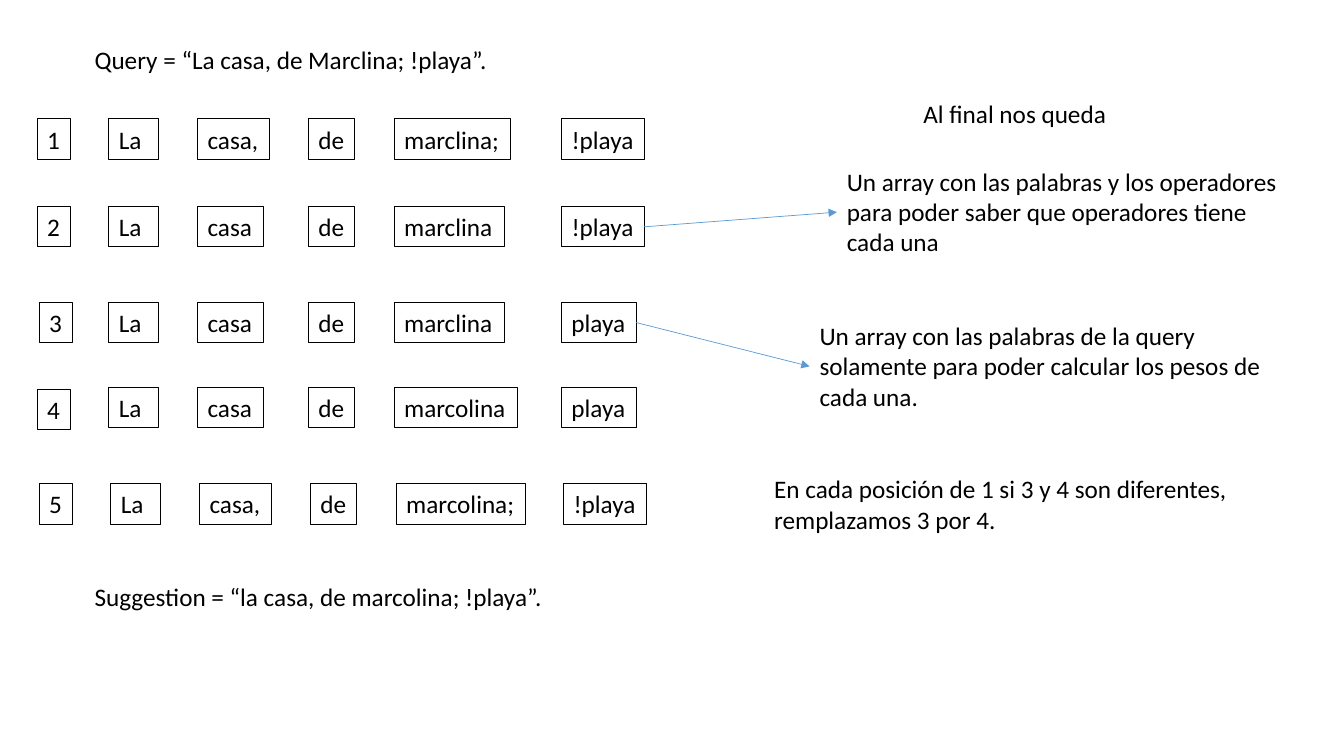
from pptx import Presentation
from pptx.dml.color import RGBColor
from pptx.enum.shapes import MSO_CONNECTOR
from pptx.enum.text import MSO_AUTO_SIZE
from pptx.oxml.ns import qn
from pptx.util import Inches, Pt
from lxml import etree

BLACK = RGBColor(0x00, 0x00, 0x00)
BLUE = RGBColor(0x5B, 0x9B, 0xD5)
STRAIGHT = MSO_CONNECTOR.STRAIGHT
GROW = MSO_AUTO_SIZE.SHAPE_TO_FIT_TEXT
FONT = "Calibri"

# Grid of square cells, ten to the inch
CELL = Inches(0.1)
LINE = 4.0
LEFT, RIGHT = 1, 3  # connection sites

# Columns of the word rows, measured from the number box
COLS = (0, 7.1, 15.9, 26.9, 35.4, 52)
WIDTHS = {
    "La": 4.9, "casa": 6.5, "casa,": 7.1, "de": 4.6,
    "marclina": 10.9, "marclina;": 11.5,
    "marcolina": 12.2, "marcolina;": 12.8,
    "playa": 7.4, "!playa": 8.2,
}
NUM = 3.3

# Left, top, shift of the number box, words
ROWS = (
    (3.7, 11.8, (0, 0), "La casa, de marclina; !playa"),
    (3.7, 20.5, (0, 0), "La casa de marclina !playa"),
    (3.7, 30, (0.2, 0), "La casa de marclina playa"),
    (3.7, 38.4, (0, 0.2), "La casa de marcolina playa"),
    (3.9, 48, (0, 0), "La casa, de marcolina; !playa"),
)

QUERY = "Query = “La casa, de Marclina; !playa”."
RESULT = "Suggestion = “la casa, de marcolina; !playa”."
HEAD = "Al final nos queda"
WITH_OPS = ("Un array con las palabras y los operadores para poder "
            "saber que operadores tiene cada una")
WORDS = ("Un array con las palabras de la query solamente para poder "
         "calcular los pesos de cada una.")
SWAP = ("En cada posición de 1 si 3 y 4 son diferentes, "
        "remplazamos 3 por 4.")


def grid(*cells):
    return [round(n * CELL) for n in cells]


def add_text(slide, box, text, wrap=True):
    shape = slide.shapes.add_textbox(*grid(*box))
    frame = shape.text_frame
    frame.word_wrap = wrap
    frame.auto_size = GROW
    frame.text = text
    font = frame.paragraphs[0].runs[0].font
    font.name, font.size = FONT, Pt(18)
    font.color.rgb = BLACK
    return shape


def add_tile(slide, box, text):
    tile = add_text(slide, box, text, wrap=False)
    tile.line.color.rgb = BLACK
    tile.line.width = Pt(0.75)
    return tile


def add_row(slide, left, top, num, shift, words):
    """Place a numbered row of words and return its last tile."""
    dx, dy = shift
    add_tile(slide, (left + dx, top + dy, NUM, LINE), str(num))
    for col, word in zip(COLS[1:], words.split()):
        tile = add_tile(slide, (left + col, top, WIDTHS[word], LINE), word)
    return tile


def add_arrow(slide, start, end):
    arrow = slide.shapes.add_connector(STRAIGHT, 0, 0, 0, 0)
    arrow.begin_connect(start, RIGHT)
    arrow.end_connect(end, LEFT)
    arrow.line.color.rgb = BLUE
    arrow.line.width = Pt(0.5)
    line = arrow.line._get_or_add_ln()
    etree.SubElement(line, qn("a:tailEnd"), type="triangle")
    etree.SubElement(arrow._element.spPr, qn("a:effectLst"))


def add_notes(slide, left, top):
    """Place the right-hand remarks and return the two with arrows."""
    add_text(slide, (left + 14.8, top, 21.1, LINE), HEAD)
    ops = add_text(slide, (left + 7.2, top + 6.7, 46.9, 10.1), WITH_OPS)
    plain = add_text(slide, (left + 4.5, top + 22, 50.4, 10.1), WORDS)
    add_text(slide, (left, top + 37.2, 57.5, 7.1), SWAP)
    return ops, plain


def main():
    deck = Presentation()
    deck.slide_width, deck.slide_height = Inches(13.33), Inches(7.5)
    slide = deck.slides.add_slide(deck.slide_layouts[6])

    # Query and suggestion
    add_text(slide, (8.4, 3.9, 98.3, LINE), QUERY)
    add_text(slide, (8.4, 57.2, 47.5, LINE), RESULT)

    # Word rows
    ends = [add_row(slide, left, top, num, shift, words)
            for num, (left, top, shift, words) in enumerate(ROWS, 1)]

    # Remarks, joined to rows 2 and 3
    for end, note in zip(ends[1:3], add_notes(slide, 75.8, 9.3)):
        add_arrow(slide, end, note)

    deck.save("out.pptx")


if __name__ == "__main__":
    main()
